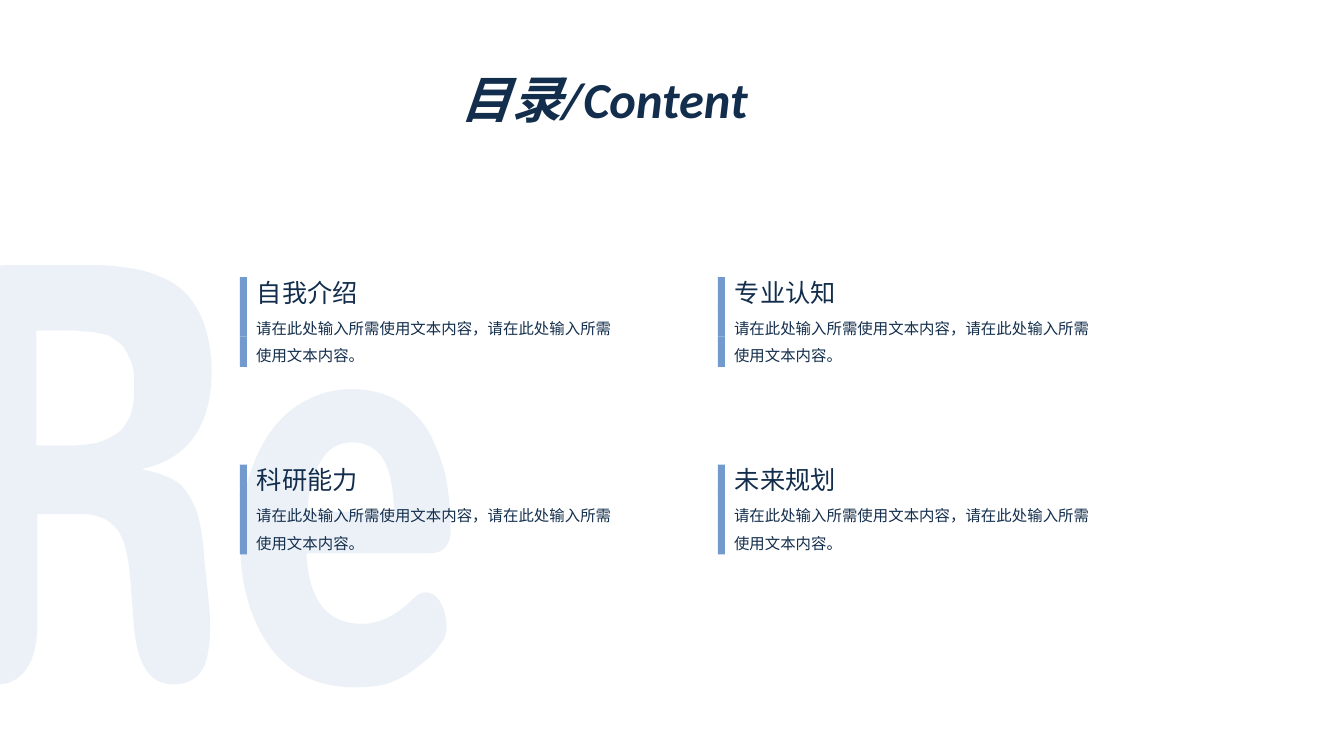
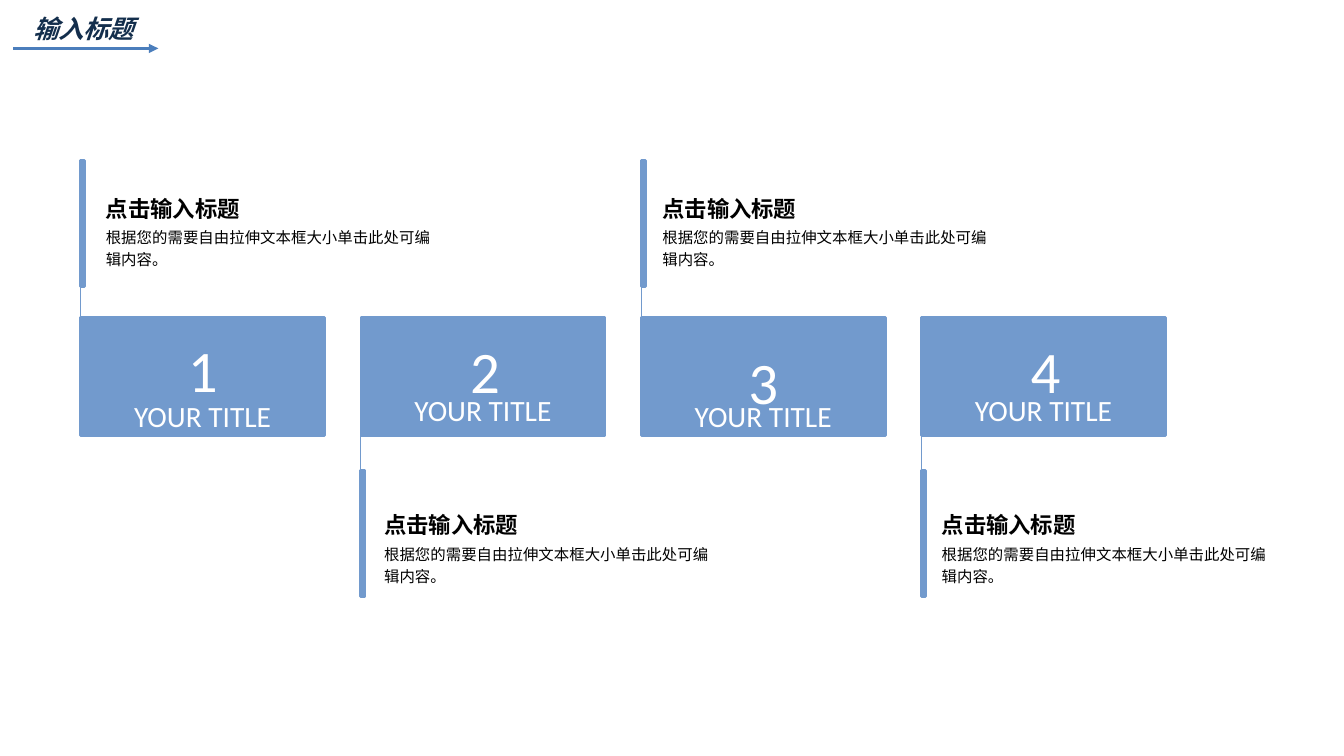
"""Build a contents slide and a four-step timeline slide."""
from dataclasses import dataclass

from lxml.etree import SubElement
from pptx import Presentation
from pptx.dml.color import RGBColor
from pptx.enum.shapes import MSO_CONNECTOR, MSO_SHAPE
from pptx.enum.text import MSO_ANCHOR, MSO_AUTO_SIZE, PP_ALIGN
from pptx.oxml.ns import qn
from pptx.shapes.autoshape import Shape
from pptx.slide import Slide
from pptx.util import Emu, Pt

SCALE = 9144
FONT = "Calibri"
NAVY, BLUE, ARROW = "132E4C", "729ACD", "4B7EBC"
WHITE, BLACK = "FFFFFF", "000000"

Segment = tuple[int, ...]
Contour = list[Segment]


@dataclass(frozen=True)
class Para:
    text: str
    size: int
    color: str = NAVY
    bold: bool = False
    italic: bool = False
    centered: bool = False
    spacing: float = 1.0


@dataclass(frozen=True)
class Topic:
    title: str
    x: int
    y: int


@dataclass(frozen=True)
class Step:
    number: str
    x: int
    text_x: int
    number_x: int
    number_y: int
    above: bool


TOPIC_BODY = "请在此处输入所需使用文本内容，请在此处输入所需使用文本内容。"
TOPICS = [
    Topic(title, 238 + 474 * (i % 2), 270 + 186 * (i // 2))
    for i, title in enumerate(["自我介绍", "专业认知", "科研能力", "未来规划"])
]

STEP_TITLE = "点击输入标题"
STEP_BODY = "根据您的需要自由拉伸文本框大小单击此处可编辑内容。"
STEPS = [
    Step("1", 80, 105, 139, 315, True),
    Step("2", 358, 381, 419, 327, False),
    Step("3", 636, 657, 695, 327, True),
    Step("4", 914, 934, 975, 327, False),
]

LETTER_R: list[Contour] = [
    [
        (7, 263), (91, 263), (105, 263, 117, 264, 128, 266),
        (138, 267, 149, 270, 160, 275), (170, 279, 179, 285, 186, 293),
        (193, 301, 199, 311, 203, 323), (207, 336, 210, 351, 210, 367),
        (210, 422, 187, 455, 142, 465), (142, 466),
        (153, 468, 162, 471, 170, 475), (177, 478, 183, 484, 187, 491),
        (192, 499, 196, 508, 198, 518), (200, 528, 202, 541, 203, 558),
        (207, 596), (210, 625, 208, 647, 203, 660),
        (197, 673, 187, 679, 172, 679), (160, 679, 150, 674, 144, 663),
        (137, 652, 133, 634, 132, 609), (129, 572),
        (127, 550, 123, 534, 116, 525), (108, 515, 96, 510, 80, 510),
        (37, 510), (37, 620), (37, 639, 33, 654, 26, 664),
        (19, 674, 9, 679, -2, 679), (-13, 679, -22, 674, -30, 664),
        (-37, 653, -41, 638, -41, 620), (-41, 319),
        (-41, 301, -36, 287, -27, 277), (-18, 268, -7, 263, 7, 263),
    ],
    [
        (36, 328), (36, 442), (70, 442), (78, 442, 86, 441, 93, 440),
        (99, 439, 106, 436, 113, 432), (119, 429, 124, 423, 128, 415),
        (132, 407, 133, 397, 133, 386), (133, 378, 133, 371, 132, 365),
        (130, 359, 128, 354, 126, 350), (124, 346, 122, 343, 118, 340),
        (114, 337, 111, 335, 108, 333), (105, 332, 100, 331, 95, 330),
        (90, 329, 86, 329, 82, 329), (79, 328, 74, 328, 68, 328), (36, 328),
    ],
]
LETTER_E: list[Contour] = [
    [
        (349, 386), (366, 386, 381, 390, 394, 397),
        (407, 405, 417, 415, 425, 428), (432, 441, 438, 456, 442, 472),
        (445, 488, 447, 506, 447, 526), (447, 541, 440, 549, 426, 549),
        (304, 549), (306, 595, 324, 619, 359, 619),
        (369, 619, 379, 616, 388, 611), (397, 606, 405, 599, 412, 592),
        (418, 587, 423, 586, 430, 590), (436, 594, 440, 602, 442, 612),
        (444, 623, 443, 632, 437, 639), (433, 645, 428, 650, 424, 654),
        (419, 658, 414, 662, 407, 667), (400, 672, 391, 676, 382, 679),
        (373, 681, 363, 682, 352, 682), (330, 682, 310, 677, 293, 666),
        (277, 656, 263, 639, 253, 616), (243, 593, 238, 566, 238, 534),
        (238, 506, 243, 481, 252, 459), (261, 436, 274, 418, 291, 405),
        (308, 393, 327, 386, 349, 386),
    ],
    [
        (349, 439), (336, 439, 325, 445, 318, 458),
        (310, 471, 306, 487, 305, 508), (391, 508),
        (390, 485, 387, 468, 381, 457), (374, 445, 364, 439, 349, 439),
    ],
]


def px(n: int) -> Emu:
    """Turn px into EMU."""
    return Emu(n * SCALE)


def rgb(color: str) -> RGBColor:
    """Turn a hex string into a colour."""
    return RGBColor.from_string(color)


def bend(sp: Shape, contours: list[Contour]) -> None:
    """Turn the straight segments that stand for curves into cubic curves."""
    segments = [seg for contour in contours for seg in contour[1:]]
    left = min(seg[-2] for seg in segments)
    top = min(seg[-1] for seg in segments)
    lines = list(sp._element.iter(qn("a:lnTo")))
    for line, seg in zip(lines, segments):
        if len(seg) == 6:
            curve = SubElement(line.getparent(), qn("a:cubicBezTo"))
            for x, y in zip(seg[::2], seg[1::2]):
                SubElement(curve, qn("a:pt"), x=str(x - left), y=str(y - top))
            line.getparent().replace(line, curve)


def add_letter(s: Slide, contours: list[Contour]) -> None:
    """Draw a pale letter outline."""
    first, *rest = [[seg[-2:] for seg in contour] for contour in contours]
    fb = s.shapes.build_freeform(*first[0], scale=SCALE)
    fb.add_line_segments(first[1:], close=True)
    for points in rest:
        fb.move_to(*points[0])
        fb.add_line_segments(points[1:], close=True)
    sp = fb.convert_to_shape()
    bend(sp, contours)
    sp.shadow.inherit = False
    sp.fill.solid()
    sp.fill.fore_color.rgb = rgb(BLUE)
    sp.line.fill.background()
    color = sp._element.spPr.find(qn("a:solidFill"))[0]
    SubElement(color, qn("a:alpha"), val="13000")


def add_rect(s: Slide, x: int, y: int, w: int, h: int, line: float = 0) -> Shape:
    """Draw a blue rectangle, with an outline if a width is given."""
    sp = s.shapes.add_shape(MSO_SHAPE.RECTANGLE, px(x), px(y), px(w), px(h))
    sp.shadow.inherit = False
    sp.fill.solid()
    sp.fill.fore_color.rgb = rgb(BLUE)
    if line:
        sp.line.color.rgb = rgb(BLUE)
        sp.line.width = Pt(line)
    else:
        sp.line.fill.background()
    return sp


def add_line(s: Slide, x1: int, y1: int, x2: int, y2: int, color: str,
             width: float, arrow: bool = False) -> None:
    """Draw a straight line."""
    cx = s.shapes.add_connector(MSO_CONNECTOR.STRAIGHT, px(x1), px(y1), px(x2), px(y2))
    cx.line.color.rgb = rgb(color)
    cx.line.width = Pt(width)
    if arrow:
        SubElement(cx._element.spPr.find(qn("a:ln")), qn("a:tailEnd"), type="triangle")
    SubElement(cx._element.spPr, qn("a:effectLst"))


def write(sp: Shape, paras: list[Para], inset: bool = True, middle: bool = False) -> None:
    """Fill a shape with paragraphs."""
    tf = sp.text_frame
    tf.word_wrap = True
    tf.auto_size = MSO_AUTO_SIZE.NONE if middle else MSO_AUTO_SIZE.SHAPE_TO_FIT_TEXT
    tf.vertical_anchor = MSO_ANCHOR.MIDDLE if middle else MSO_ANCHOR.TOP
    tf.margin_left = tf.margin_right = px(10 if inset else 0)
    tf.margin_top = tf.margin_bottom = px(5 if inset else 0)
    for i, para in enumerate(paras):
        p = tf.add_paragraph() if i else tf.paragraphs[0]
        p.alignment = PP_ALIGN.CENTER if para.centered else PP_ALIGN.LEFT
        p.line_spacing = para.spacing
        if i:
            p.space_before = Pt(2)
        r = p.add_run()
        r.text = para.text
        r.font.name = FONT
        r.font.size = Pt(para.size)
        r.font.bold = para.bold
        r.font.italic = para.italic
        r.font.color.rgb = rgb(para.color)


def add_text(s: Slide, x: int, y: int, w: int, h: int, paras: list[Para],
             inset: bool = True, middle: bool = False) -> None:
    """Add a text box."""
    write(s.shapes.add_textbox(px(x), px(y), px(w), px(h)), paras, inset, middle)


def add_title(s: Slide, x: int, y: int, w: int, h: int, text: str, size: int) -> None:
    """Add a bold italic title."""
    add_text(s, x, y, w, h, [Para(text, size, bold=True, italic=True)])


def add_topic(s: Slide, topic: Topic) -> None:
    """Draw one entry of the contents."""
    for i in range(3):
        add_rect(s, topic.x, topic.y + 5 + 59 * i // 2, 7, 30)
    add_text(s, topic.x + 7, topic.y, 267, 40, [Para(topic.title, 18)])
    add_text(s, topic.x + 16, topic.y + 37, 358, 52,
             [Para(TOPIC_BODY, 11, spacing=1.5)], inset=False)


def add_step(s: Slide, step: Step) -> None:
    """Draw one card with its bar and description."""
    bar_y, text_y = (159, 188) if step.above else (467, 502)
    start, end = (159, 432) if step.above else (591, 315)
    spacing = 1.3 if step.above else 1.0
    add_line(s, step.x, start, step.x, end, BLUE, 0.75)
    add_rect(s, step.x, bar_y, 4, 125, 2)
    add_rect(s, step.x, 315, 242, 117, 2)
    label = add_rect(s, step.x + 10, 384, 222, 46, 2 if step.above else 0.75)
    write(label, [Para("YOUR TITLE", 21, WHITE, centered=True, spacing=spacing)],
          middle=step.above)
    add_text(s, step.number_x, step.number_y, 124, 81,
             [Para(step.number, 42, WHITE, centered=True, spacing=spacing)],
             middle=step.above)
    add_text(s, step.text_x, text_y, 324, 80,
             [Para(STEP_TITLE, 16, BLACK, bold=True, spacing=1.2),
              Para(STEP_BODY, 11, BLACK, spacing=1.2)], inset=False)


def main() -> None:
    """Build and save both slides."""
    prs = Presentation()
    prs.slide_width, prs.slide_height = px(1333), px(750)
    blank = prs.slide_layouts[6]

    s = prs.slides.add_slide(blank)
    for letter in (LETTER_R, LETTER_E):
        add_letter(s, letter)
    for topic in TOPICS:
        add_topic(s, topic)
    add_title(s, 447, 63, 411, 71, "目录/Content", 36)

    s = prs.slides.add_slide(blank)
    add_line(s, 13, 48, 157, 48, ARROW, 2.25, arrow=True)
    add_title(s, 23, 8, 134, 40, "输入标题", 18)
    for step in STEPS:
        add_step(s, step)

    prs.save("out.pptx")


if __name__ == "__main__":
    main()
